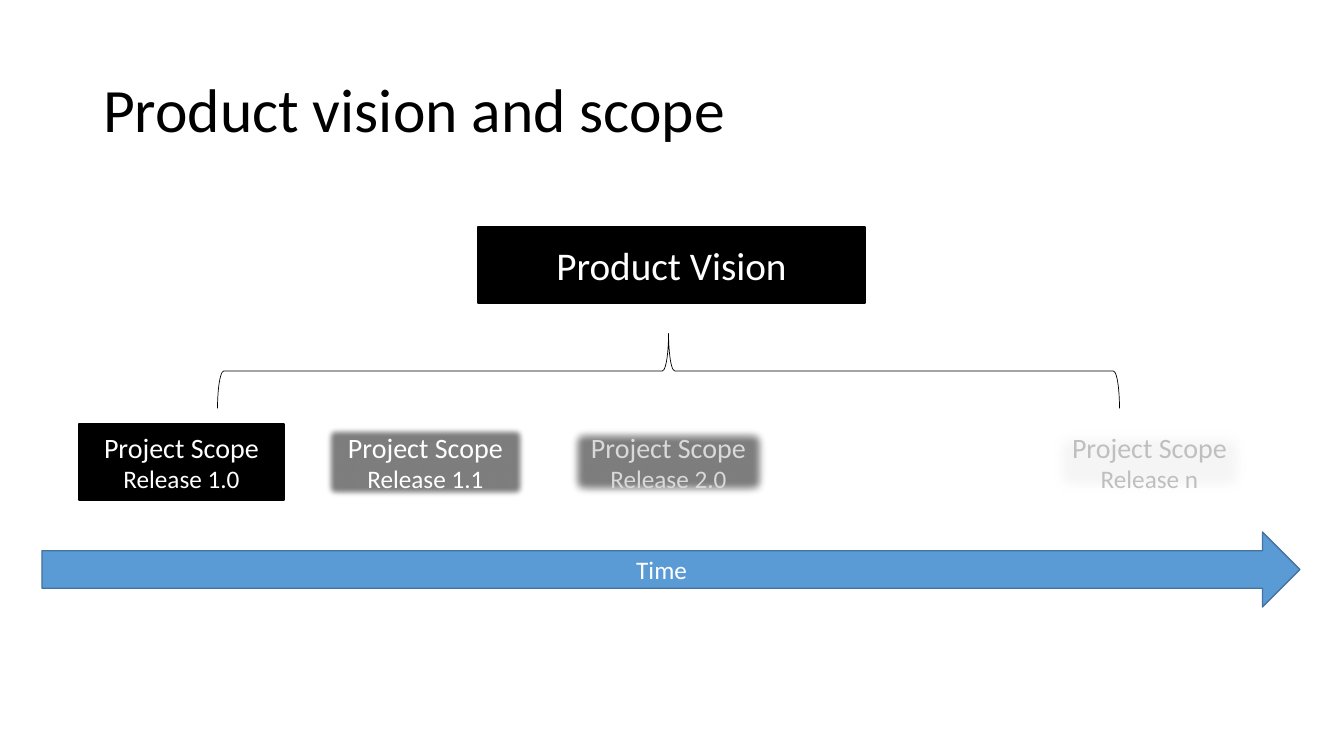
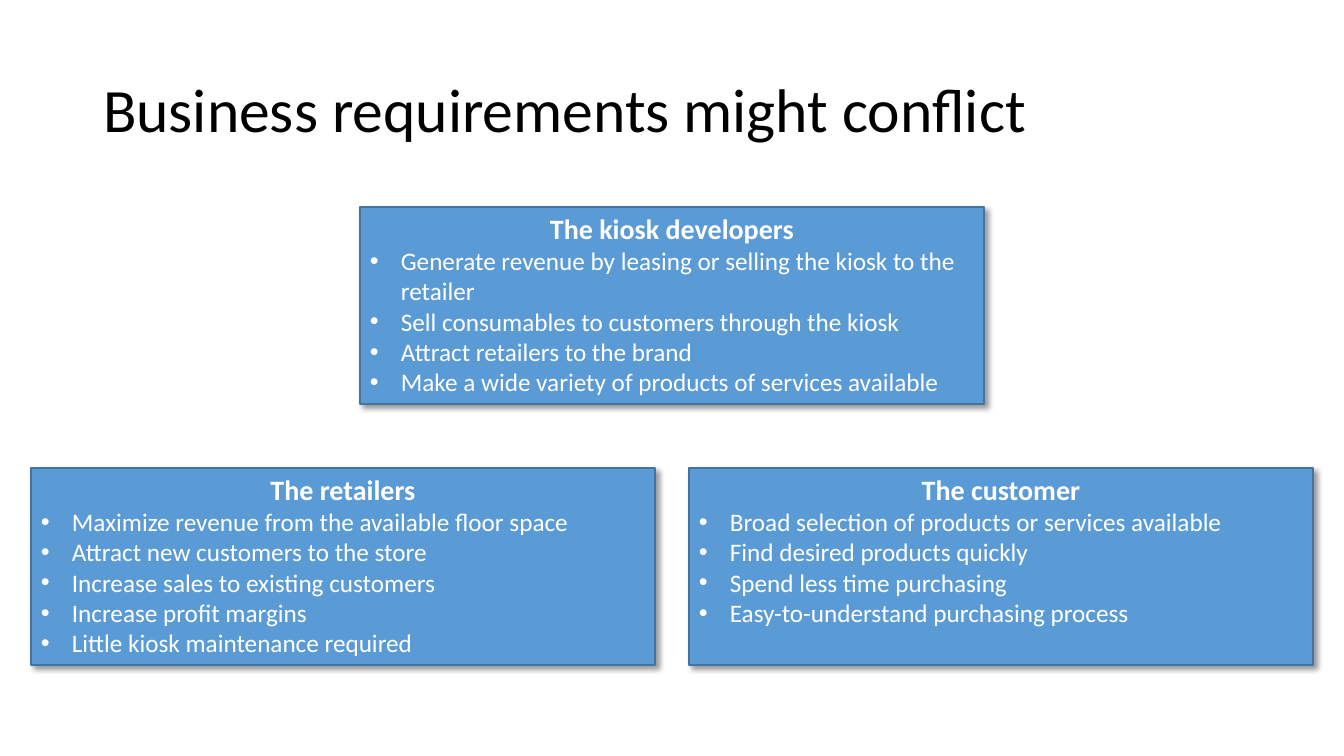
import pptx
import pptx.util
import pptx.dml.color
import pptx.enum.shapes
import pptx.enum.text
import pptx.oxml
import pptx.oxml.ns
import lxml.etree

RGBColor = pptx.dml.color.RGBColor
SHAPES = pptx.enum.shapes.MSO_SHAPE
ALIGN = pptx.enum.text.PP_ALIGN
ANCHOR = pptx.enum.text.MSO_ANCHOR
AUTO_SIZE = pptx.enum.text.MSO_AUTO_SIZE
Pt = pptx.util.Pt
qn = pptx.oxml.ns.qn

BLACK = RGBColor(0x00, 0x00, 0x00)
WHITE = RGBColor(0xFF, 0xFF, 0xFF)
BLUE = RGBColor(0x5B, 0x9B, 0xD5)
DARK_BLUE = RGBColor(0x43, 0x73, 0x9E)
PALE_GREY = RGBColor(0xE7, 0xE6, 0xE6)
LIGHT_GREY = RGBColor(0xD9, 0xD9, 0xD9)
MID_GREY = RGBColor(0xBF, 0xBF, 0xBF)

FONT = "Calibri"
EMU_PER_PIXEL = 914400 / 100.8
SLIDE_SIZE = (1344, 756)
TITLE_AREA = (93, 40, 1159, 146)

VISION_AREA = (478, 227, 387, 76)
BRACE_AREA = (631, -80, 75, 902)
TIME_AREA = (42, 532, 1258, 75)
RELEASE_TOP, RELEASE_WIDTH, RELEASE_HEIGHT = 424, 205, 76
# left, release, fill, opacity in percent, text colour, soft edge in points
RELEASES = [
    (79, "Release 1.0", BLACK, 100, WHITE, 0),
    (323, "Release 1.1", BLACK, 51, WHITE, 5),
    (566, "Release 2.0", BLACK, 51, LIGHT_GREY, 7),
    (1047, "Release n", PALE_GREY, 35, MID_GREY, 9),
]

PANEL_WIDTH, PANEL_HEIGHT, BULLET_INDENT = 624, 197, 31
# left, top, grows with its text, heading, points
PANELS = [
    (360, 207, True, "The kiosk developers", [
        "Generate revenue by leasing or selling the kiosk to the retailer",
        "Sell consumables to customers through the kiosk",
        "Attract retailers to the brand",
        "Make a wide variety of products of services available",
    ]),
    (31, 468, True, "The retailers", [
        "Maximize revenue from the available floor space",
        "Attract new customers to the store",
        "Increase sales to existing customers",
        "Increase profit margins",
        "Little kiosk maintenance required",
    ]),
    (689, 468, False, "The customer", [
        "Broad selection of products or services available",
        "Find desired products quickly",
        "Spend less time purchasing",
        "Easy-to-understand purchasing process",
    ]),
]


def emu(pixels):
    """Turn pixels into EMU."""
    return pptx.util.Emu(round(pixels * EMU_PER_PIXEL))


def add_child(parent, tag, **attributes):
    """Append a DrawingML element with the given attributes."""
    child = lxml.etree.SubElement(parent, qn(tag))
    for name, value in attributes.items():
        child.set(name, str(value))
    return child


def style_font(font, size, color, bold=False):
    """Set the face, size, colour and weight of a font."""
    font.name, font.size, font.bold = FONT, Pt(size), bold
    font.color.rgb = color


def add_page(deck, title):
    """Add a title-only slide with the shared title style."""
    page = deck.slides.add_slide(deck.slide_layouts[5])
    box = page.shapes.title
    box.left, box.top, box.width, box.height = map(emu, TITLE_AREA)
    frame = box.text_frame
    frame.text = title
    frame.vertical_anchor = ANCHOR.MIDDLE
    frame.auto_size = AUTO_SIZE.NONE
    para = frame.paragraphs[0]
    para.alignment, para.line_spacing = ALIGN.LEFT, 0.9
    style_font(para.font, 44, BLACK)
    return page


def add_box(page, kind, area, fill, line, line_width=1):
    """Add a preset shape without shadow; a fill of None leaves it hollow."""
    box = page.shapes.add_shape(kind, *map(emu, area))
    box.shadow.inherit = False
    if fill is None:
        box.fill.background()
    else:
        box.fill.solid()
        box.fill.fore_color.rgb = fill
    box.line.color.rgb = line
    box.line.width = Pt(line_width)
    box.text_frame.word_wrap = True
    return box


def write_label(box, text, size, color=WHITE):
    """Write one centred line into a shape."""
    para = box.text_frame.paragraphs[0]
    para.text, para.alignment = text, ALIGN.CENTER
    style_font(para.font, size, color)


def effects_of(box):
    """Return the effect list of a shape."""
    return box._element.spPr.find(qn("a:effectLst"))


def add_release(page, left, release, fill, opacity, color, edge):
    """Add a project scope box that fades with its distance in time."""
    area = (left, RELEASE_TOP, RELEASE_WIDTH, RELEASE_HEIGHT)
    box = add_box(page, SHAPES.RECTANGLE, area, fill, BLACK)
    if opacity < 100:
        fill_color = box._element.spPr.find(qn("a:solidFill"))[0]
        add_child(fill_color, "a:alpha", val=opacity * 1000)
    if edge:
        add_child(effects_of(box), "a:softEdge", rad=Pt(edge))
    para = box.text_frame.paragraphs[0]
    para.alignment = ALIGN.CENTER
    for text, size in (("Project Scope", 20), (release, 18)):
        if para.runs:
            para.add_line_break()
        span = para.add_run()
        span.text = text
        style_font(span.font, size, color)


def add_panel(page, left, top, grows, heading, points):
    """Add a shadowed panel with a heading and bullet points."""
    area = (left, top, PANEL_WIDTH, PANEL_HEIGHT)
    box = add_box(page, SHAPES.RECTANGLE, area, BLUE, DARK_BLUE)
    shadow = add_child(effects_of(box), "a:outerShdw", blurRad=Pt(4), dist=Pt(3),
                       dir=45 * 60000, algn="tl", rotWithShape=0)
    shadow_color = add_child(shadow, "a:srgbClr", val=BLACK)
    add_child(shadow_color, "a:alpha", val=40000)
    frame = box.text_frame
    frame.vertical_anchor = ANCHOR.TOP
    frame.auto_size = AUTO_SIZE.SHAPE_TO_FIT_TEXT if grows else AUTO_SIZE.NONE
    write_label(box, heading, 20)
    frame.paragraphs[0].font.bold = True
    for point in points:
        para = frame.add_paragraph()
        para.text, para.alignment = point, ALIGN.LEFT
        style_font(para.font, 18, WHITE)
        properties = para._p.get_or_add_pPr()
        properties.set("marL", str(emu(BULLET_INDENT)))
        properties.set("indent", str(-emu(BULLET_INDENT)))
        bullet_font = lxml.etree.Element(qn("a:buFont"), typeface="Arial")
        bullet = lxml.etree.Element(qn("a:buChar"), char="•")
        properties.find(qn("a:defRPr")).addprevious(bullet_font)
        bullet_font.addnext(bullet)


def build_vision_page(deck):
    """Show the product vision above its releases over time."""
    page = add_page(deck, "Product vision and scope")
    vision = add_box(page, SHAPES.RECTANGLE, VISION_AREA, BLACK, BLACK)
    write_label(vision, "Product Vision", 28)
    for release in RELEASES:
        add_release(page, *release)
    brace = add_box(page, SHAPES.LEFT_BRACE, BRACE_AREA, None, BLACK, 0.5)
    brace.rotation = 90
    time = add_box(page, SHAPES.RIGHT_ARROW, TIME_AREA, BLUE, DARK_BLUE)
    write_label(time, "Time", 18)


def build_conflict_page(deck):
    """Show the requirements of each group side by side."""
    page = add_page(deck, "Business requirements might conflict")
    for panel in PANELS:
        add_panel(page, *panel)


deck = pptx.Presentation()
deck.slide_width, deck.slide_height = map(emu, SLIDE_SIZE)
build_vision_page(deck)
build_conflict_page(deck)
deck.save("out.pptx")
